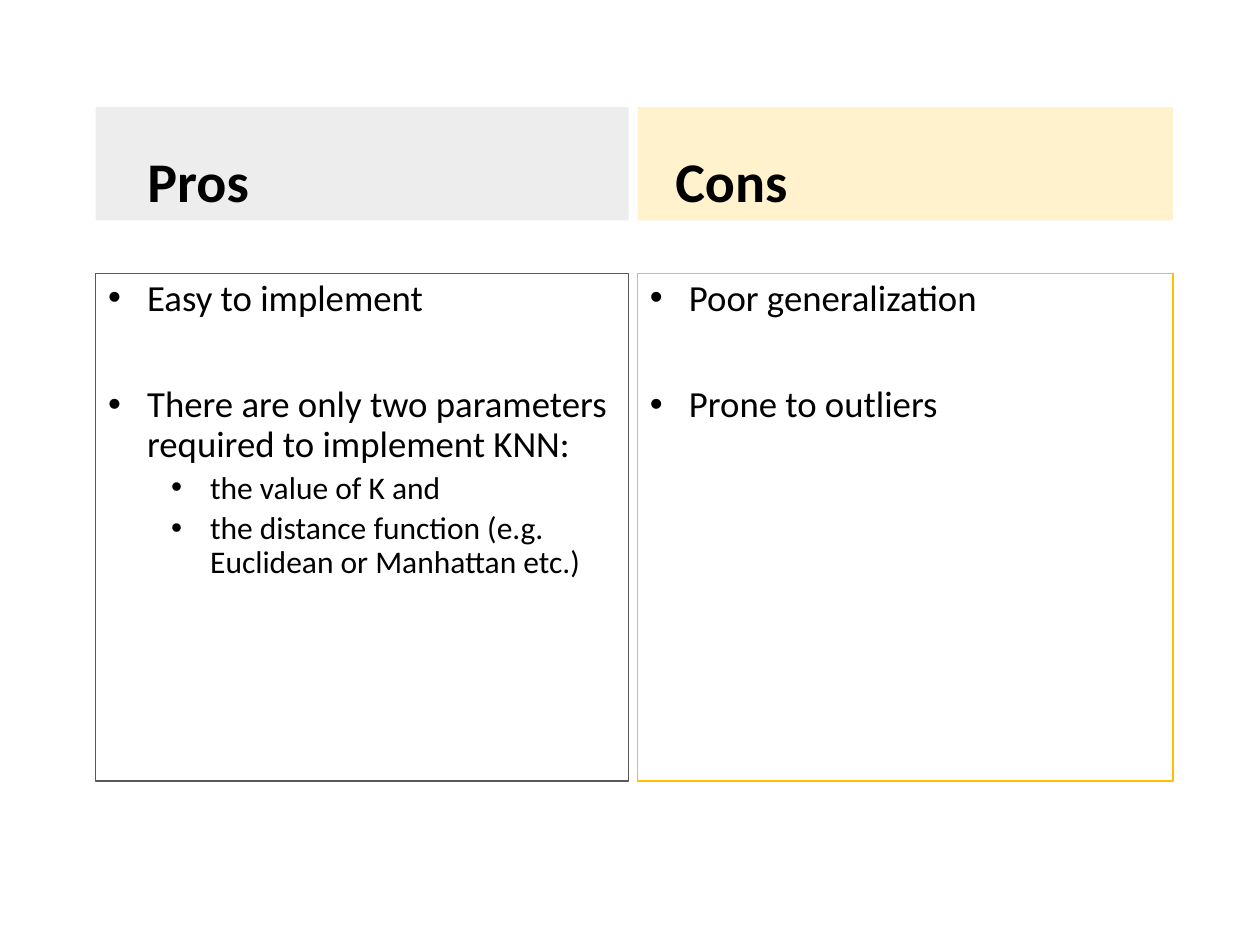
from lxml import etree
from pptx import Presentation
from pptx.dml.color import RGBColor
from pptx.enum.shapes import MSO_SHAPE
from pptx.enum.text import MSO_ANCHOR, PP_ALIGN
from pptx.oxml.ns import qn
from pptx.util import Inches, Pt

RECTANGLE = MSO_SHAPE.RECTANGLE
TOP, BOTTOM = MSO_ANCHOR.TOP, MSO_ANCHOR.BOTTOM
LEFT = PP_ALIGN.LEFT
FONT, BLACK = "Calibri", "000000"
HEADING_TOP, HEADING_HEIGHT = 0.85, 0.9
LIST_TOP, LIST_HEIGHT = 2.17, 4.03
HANGING = 0.31
ITEM_STYLES = {
    "first": {"level": 0, "indent": 0.31, "size": 21, "before": 0},
    "main": {"level": 0, "indent": 0.31, "size": 21, "before": 38},
    "sub": {"level": 1, "indent": 0.81, "size": 18, "before": 3.8},
}
COLUMNS = [
    {
        "left": 0.76, "width": 4.23, "heading": "Pros", "inset": 0.41,
        "fill": "EDEDED", "line": "595959",
        "items": [
            ("first", "Easy to implement"),
            ("main", "There are only two parameters required to implement KNN:"),
            ("sub", "the value of K and"),
            ("sub", "the distance function (e.g. Euclidean or Manhattan etc.)"),
        ],
    },
    {
        "left": 5.06, "width": 4.25, "heading": "Cons", "inset": 0.3,
        "fill": "FFF2CC", "line": "FFC000",
        "items": [("first", "Poor generalization"), ("main", "Prone to outliers")],
    },
]


def color(value):
    return RGBColor.from_string(value)


def add_panel(page, left, top, width, height, anchor):
    panel = page.shapes.add_shape(
        RECTANGLE, Inches(left), Inches(top), Inches(width), Inches(height)
    )
    panel.shadow.inherit = False
    panel.text_frame.word_wrap = True
    panel.text_frame.vertical_anchor = anchor
    return panel


def write(para, text, size, before=0, bold=False):
    para_format = {
        "alignment": LEFT, "line_spacing": 0.9, "space_before": Pt(before),
    }
    for name, value in para_format.items():
        setattr(para, name, value)
    span = para.add_run()
    span.text = text
    for name, value in {"name": FONT, "size": Pt(size), "bold": bold}.items():
        setattr(span.font, name, value)
    span.font.color.rgb = color(BLACK)


def add_bullet(para, indent):
    properties = para._p.get_or_add_pPr()
    properties.set("marL", str(Inches(indent)))
    properties.set("indent", str(-Inches(HANGING)))
    etree.SubElement(properties, qn("a:buFont"), typeface="Arial")
    etree.SubElement(properties, qn("a:buChar"), char="•")


def add_heading(page, left, top, width, height, column):
    panel = add_panel(page, left, top, width, height, BOTTOM)
    panel.fill.solid()
    panel.fill.fore_color.rgb = color(column["fill"])
    panel.line.fill.background()
    panel.text_frame.margin_left = Inches(column["inset"])
    write(panel.text_frame.paragraphs[0], column["heading"], 32, bold=True)


def add_list(page, left, top, width, height, column):
    panel = add_panel(page, left, top, width, height, TOP)
    panel.fill.background()
    panel.line.color.rgb = color(column["line"])
    panel.line.width = Pt(0.75)
    frame = panel.text_frame
    for index, (kind, text) in enumerate(column["items"]):
        para = frame.add_paragraph() if index else frame.paragraphs[0]
        style = ITEM_STYLES[kind]
        para.level = style["level"]
        add_bullet(para, style["indent"])
        write(para, text, style["size"], style["before"])


def build_comparison(page):
    for column in COLUMNS:
        left, width = column["left"], column["width"]
        add_heading(page, left, HEADING_TOP, width, HEADING_HEIGHT, column)
        add_list(page, left, LIST_TOP, width, LIST_HEIGHT, column)


def main():
    deck = Presentation()
    deck.slide_width, deck.slide_height = Inches(10), Inches(7.5)
    build_comparison(deck.slides.add_slide(deck.slide_layouts[6]))
    deck.save("out.pptx")


if __name__ == "__main__":
    main()
